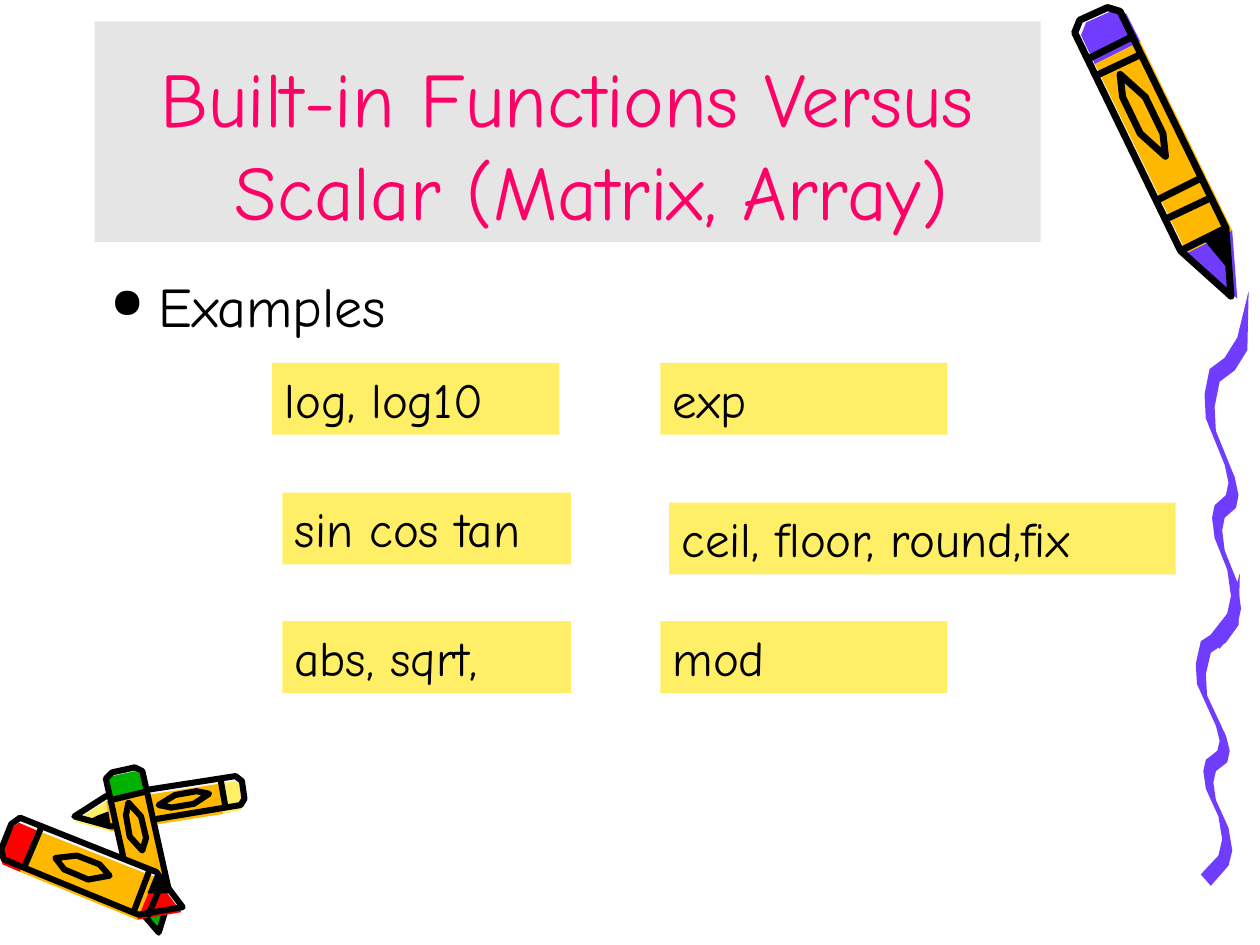
from dataclasses import dataclass
from math import hypot

from lxml import etree
from pptx import Presentation
from pptx.dml.color import RGBColor
from pptx.enum import shapes, text
from pptx.oxml import ns
from pptx.util import Pt

PX = 9144  # EMU per px, 100 px to the inch
SLIDE_SIZE = (1000, 750)


@dataclass(frozen=True)
class Theme:
    font: str = "Comic Neue"
    ink: str = "000000"
    title: str = "FF0066"
    title_band: str = "BFBFBF"
    title_opacity: int = 40
    yellow: str = "FFEF66"
    purple: str = "703DFF"
    orange: str = "FFB800"
    red: str = "FF0000"
    green: str = "00B200"
    white: str = "F8F8F8"
    title_size: int = 44
    body_size: int = 32
    box_size: int = 28
    bullet_percent: int = 75


THEME = Theme()

TITLE = ("Built-in Functions Versus Scalar (Matrix, Array)", (75, 17, 751, 175))
BODY = ("Examples", (78, 211, 842, 400))
HANGING = 38
BOX_HEIGHT = 57
FUNCTION_BOXES = [  # wording, left, top, width
    ("log, log10", 216, 288, 228),
    ("sin cos tan", 224, 391, 229),
    ("abs, sqrt,", 224, 493, 229),
    ("exp", 524, 288, 228),
    ("ceil, floor, round,fix", 531, 399, 402),
    ("mod", 524, 493, 228),
]


@dataclass(frozen=True)
class Crayon:
    accent: str        # colour of the cap and the tip
    butt: tuple        # middle of the blunt end
    point: tuple       # sharp end
    half_width: int
    bands: tuple       # ink rings, as fractions of the length
    ring_start: float  # where the oval on the wrapper begins
    colour_shift: tuple  # how far the colours are printed off the ink
    stroke: float      # ink width in points


CRAYONS = [
    Crayon(THEME.purple, (868, 11), (977, 235), 20, (0.12, 0.18, 0.62, 0.69, 0.8), 0.21, (5, 2), 4),
    Crayon(THEME.yellow, (193, 627), (59, 648), 12, (0.12,), 0.2, (0, 4), 3.5),
    Crayon(THEME.green, (98, 611), (126, 740), 15, (0.16,), 0.2, (0, 3), 3.5),
    Crayon(THEME.red, (5, 664), (145, 720), 18, (0.15, 0.77, 0.85), 0.28, (-1, 4), 3.5),
]

# Crayon parts as (along, across): along runs 0 to 1 from the butt to the point,
# across runs -1 to 1 from one long side to the other.
CAP_END, SHOULDER = 0.13, 0.8
SILHOUETTE = [(0.03, -1), (0, -0.6), (0, 0.6), (0.03, 1), (SHOULDER, 1), (1, 0), (SHOULDER, -1)]
CAP = [(0.03, -1), (0, -0.6), (0, 0.6), (0.03, 1), (CAP_END, 1), (CAP_END, -1)]
WRAPPER = [(CAP_END, -1), (CAP_END, 1), (SHOULDER, 1), (SHOULDER, -1)]
TIP = [(SHOULDER, -1), (SHOULDER, 1), (1, 0)]
TIP_SHADE = [(SHOULDER, 0), (SHOULDER, 1), (0.92, 0.4), (0.86, 0.2)]
RING_LENGTH = 0.3
RING = [(0, -0.1), (0.07, -0.4), (0.2, -0.4), (0.3, 0.1), (0.23, 0.4), (0.1, 0.4)]

# The ribbon's left edge, bottom to top; its right edge is the same line moved.
RIBBON_EDGE = [(4, 274), (18, 256), (21, 242), (18, 221), (8, 196), (6, 180), (8, 170),
               (17, 162), (19, 152), (16, 138), (1, 101), (0, 82), (4, 62), (16, 53),
               (26, 37), (35, 0)]
RIBBON_THICKNESS = (8, 10)
RIBBON_HEIGHT = 284
RIBBONS = [(949, 455, 248), (956, 231, 284)]  # left, top, height


def emu(lengths):
    return [n * PX for n in lengths]


def rgb(colour):
    return RGBColor.from_string(colour)


def paint(shape, colour):
    shape.shadow.inherit = False
    shape.fill.solid()
    shape.fill.fore_color.rgb = rgb(colour)
    shape.line.fill.background()


def add_outline(slide, points, close=True):
    start, *rest = [(round(x), round(y)) for x, y in points]
    builder = slide.shapes.build_freeform(*start, scale=PX)
    builder.add_line_segments(rest, close=close)
    return builder.convert_to_shape()


def add_ink(slide, points, width, close=True):
    """Draw an unfilled black line through the points."""
    ink = add_outline(slide, points, close)
    ink.shadow.inherit = False
    ink.fill.background()
    ink.line.color.rgb = rgb(THEME.ink)
    ink.line.width = Pt(width)


def add_crayon(slide, crayon):
    (left, top), (right, bottom) = crayon.butt, crayon.point
    run, rise = right - left, bottom - top
    side = crayon.half_width / hypot(run, rise)

    def place(part, shift=(0, 0)):
        return [(left + along * run + across * side * rise + shift[0],
                 top + along * rise - across * side * run + shift[1])
                for along, across in part]

    paint(add_outline(slide, place(SILHOUETTE)), THEME.white)
    for part, colour in ((CAP, crayon.accent), (WRAPPER, THEME.orange), (TIP, crayon.accent)):
        paint(add_outline(slide, place(part, crayon.colour_shift)), colour)
    paint(add_outline(slide, place(TIP_SHADE)), THEME.ink)

    ring = [(crayon.ring_start + along, across) for along, across in RING]
    for part in (SILHOUETTE, ring):
        add_ink(slide, place(part), crayon.stroke)
    for along in crayon.bands:
        add_ink(slide, place([(along, -1), (along, 1)]), crayon.stroke, close=False)


def add_ribbon(slide, left, top, height):
    dx, dy = RIBBON_THICKNESS
    right_edge = [(x + dx, y + dy) for x, y in reversed(RIBBON_EDGE[:-1])]
    stretch = height / RIBBON_HEIGHT
    points = [(left + x, top + y * stretch) for x, y in RIBBON_EDGE + right_edge]
    paint(add_outline(slide, points), THEME.purple)


def add_bullet(props, char, colour):
    bullet_colour = etree.SubElement(props, ns.qn("a:buClr"))
    etree.SubElement(bullet_colour, ns.qn("a:srgbClr"), val=colour)
    etree.SubElement(props, ns.qn("a:buSzPct"), val=str(THEME.bullet_percent * 1000))
    etree.SubElement(props, ns.qn("a:buChar"), char=char)


def write(shape, wording, size, colour, align=text.PP_ALIGN.LEFT,
          anchor=text.MSO_ANCHOR.TOP, bullet=None):
    """Fill a shape with one paragraph that has a hanging indent."""
    frame = shape.text_frame
    frame.word_wrap = True
    frame.vertical_anchor = anchor
    paragraph = frame.paragraphs[0]
    paragraph.text = wording
    paragraph.alignment = align
    props = paragraph._p.get_or_add_pPr()
    props.set("marL", str(HANGING * PX))
    props.set("indent", str(-HANGING * PX))
    if bullet:
        add_bullet(props, bullet, colour)
    font = paragraph.font
    font.name, font.size = THEME.font, Pt(size)
    font.color.rgb = rgb(colour)


def add_band(slide, place, colour):
    band = slide.shapes.add_shape(shapes.MSO_SHAPE.RECTANGLE, *emu(place))
    paint(band, colour)
    return band


def main():
    deck = Presentation()
    deck.slide_width, deck.slide_height = emu(SLIDE_SIZE)
    slide = deck.slides.add_slide(deck.slide_layouts[6])

    for ribbon in RIBBONS:
        add_ribbon(slide, *ribbon)
    for crayon in CRAYONS:
        add_crayon(slide, crayon)

    wording, place = BODY
    write(slide.shapes.add_textbox(*emu(place)), wording, THEME.body_size, THEME.ink, bullet="●")

    wording, place = TITLE
    title = add_band(slide, place, THEME.title_band)
    band_colour = title._element.spPr.find(".//" + ns.qn("a:srgbClr"))
    etree.SubElement(band_colour, ns.qn("a:alpha"), val=str(THEME.title_opacity * 1000))
    write(title, wording, THEME.title_size, THEME.title,
          text.PP_ALIGN.CENTER, text.MSO_ANCHOR.BOTTOM)

    for wording, left, top, width in FUNCTION_BOXES:
        box = add_band(slide, (left, top, width, BOX_HEIGHT), THEME.yellow)
        write(box, wording, THEME.box_size, THEME.ink)

    deck.save("out.pptx")


if __name__ == "__main__":
    main()
